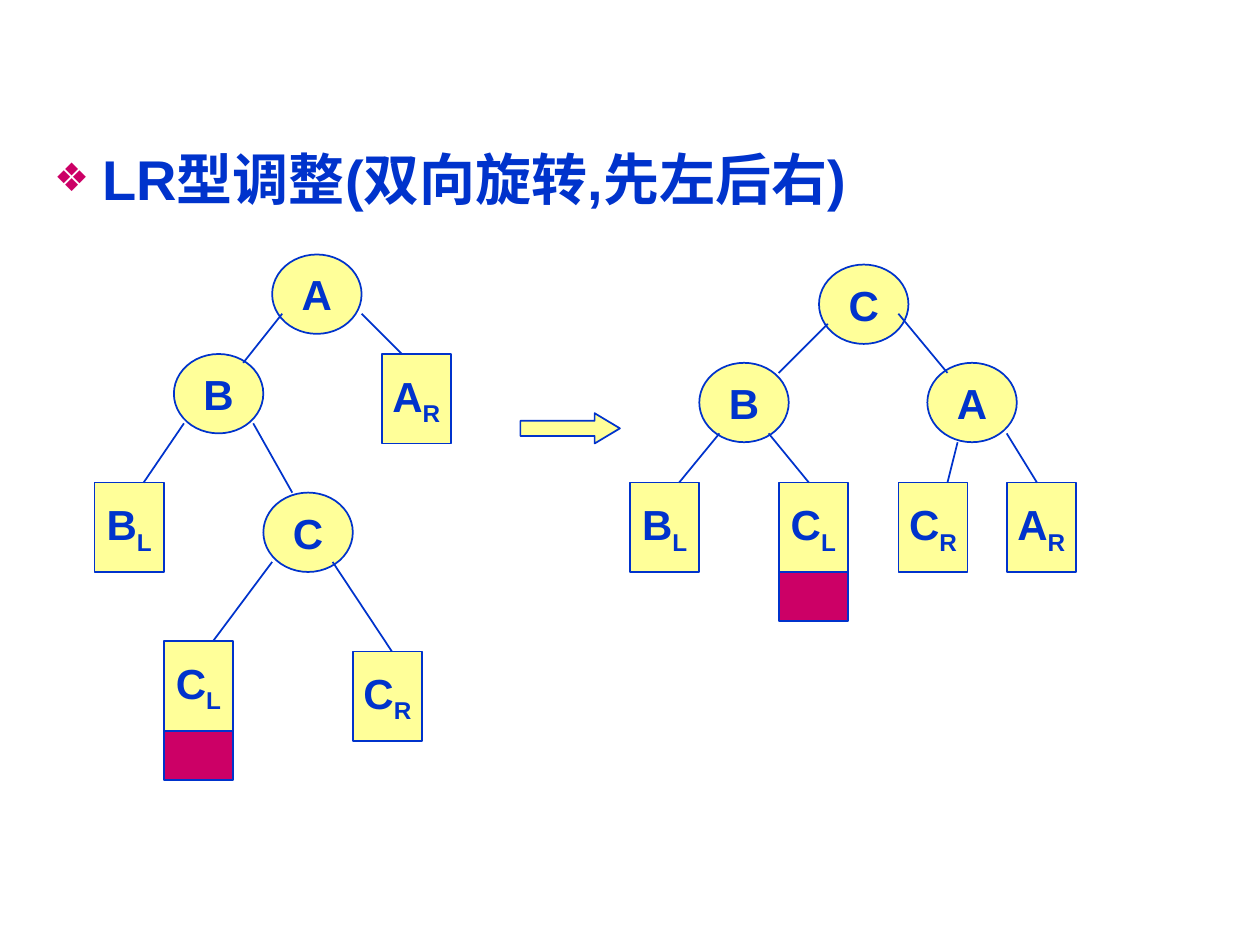
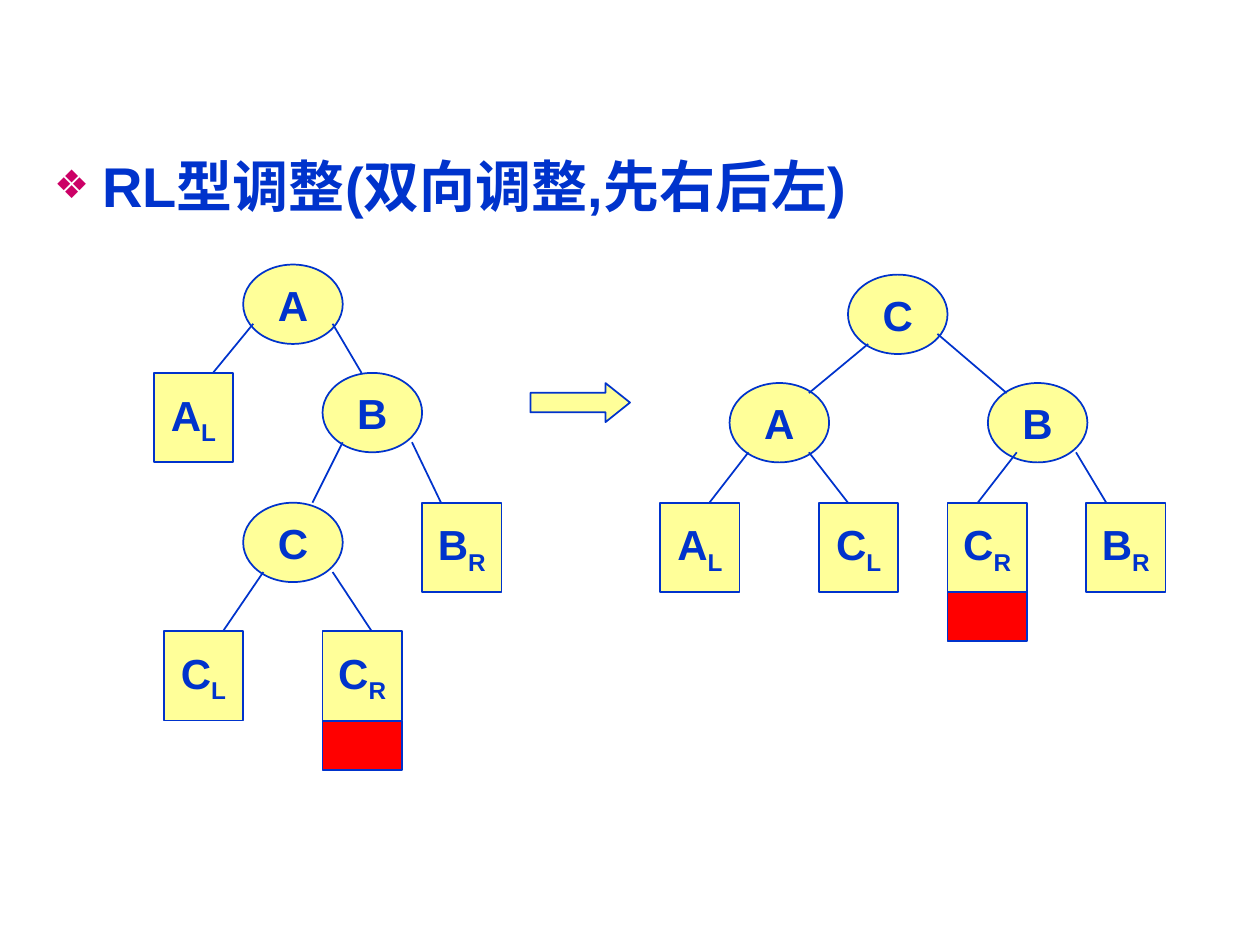
from lxml import etree
from pptx import Presentation
from pptx.dml.color import RGBColor
from pptx.enum import shapes, text
from pptx.oxml import ns
from pptx.util import Inches, Pt

BLUE, YELLOW, PINK, RED = "0033CC", "FFFF99", "CC0066", "FF0000"
NODE_HEIGHT, SUBTREE_HEIGHT, INSERTED_HEIGHT = 0.63, 0.71, 0.39


def paint(drawn, fill=None):
    """Outline a shape or connector in blue, fill it if asked, and drop its shadow."""
    drawn.line.color.rgb = RGBColor.from_string(BLUE)
    drawn.line.width = Pt(1)
    if fill:
        drawn.fill.solid()
        drawn.fill.fore_color.rgb = RGBColor.from_string(fill)
        drawn.shadow.inherit = False
    else:
        etree.SubElement(drawn._element.spPr, ns.qn("a:effectLst"))


def write(para, words, size=24, color=BLUE, subscript=False):
    span = para.add_run()
    span.text = words
    span.font.name = "Arial"
    span.font.size = Pt(size)
    span.font.bold = True
    span.font.color.rgb = RGBColor.from_string(color)
    if subscript:
        span._r.get_or_add_rPr().set("baseline", "-25000")


# One-letter labels are nodes; two-letter labels are subtrees.
# A tree is its labels with left and top, then its edges as x1, y1, x2, y2.
rotations = [
    dict(
        heading="LR型调整(双向旋转,先左后右)", top=0.99, height=5.42, spacing=1.2,
        node_width=0.71, subtree_width=0.55, inserted_under="CL", inserted_color=PINK,
        arrow=(4.13, 3.28, 0.79, 0.24), arrow_head=0.836,
        trees=[
            ([("A", 2.16, 2.02), ("B", 1.38, 2.81), ("C", 2.09, 3.91),
              ("AR", 3.03, 2.81), ("BL", 0.75, 3.83),
              ("CL", 1.3, 5.09), ("CR", 2.8, 5.17)],
             [(2.24, 2.49, 1.93, 2.88), (2.87, 2.49, 3.19, 2.81),
              (1.46, 3.36, 1.14, 3.83), (2.01, 3.36, 2.32, 3.91),
              (2.16, 4.46, 1.69, 5.09), (2.64, 4.46, 3.11, 5.17)]),
            ([("C", 6.5, 2.1), ("B", 5.55, 2.88), ("A", 7.36, 2.88),
              ("BL", 5, 3.83), ("CL", 6.18, 3.83),
              ("CR", 7.13, 3.83), ("AR", 7.99, 3.83)],
             [(6.57, 2.57, 6.18, 2.96), (7.13, 2.49, 7.52, 2.96),
              (5.71, 3.44, 5.39, 3.83), (6.1, 3.44, 6.42, 3.83),
              (7.6, 3.51, 7.52, 3.83), (7.99, 3.44, 8.23, 3.83)]),
        ],
    ),
    dict(
        heading="RL型调整(双向调整,先右后左)", top=1.15, height=5.27, spacing=1.0,
        node_width=0.79, subtree_width=0.63, inserted_under="CR", inserted_color=RED,
        arrow=(4.21, 3.04, 0.79, 0.31), arrow_head=0.627,
        trees=[
            ([("A", 1.93, 2.1), ("B", 2.56, 2.96), ("C", 1.93, 3.99),
              ("AL", 1.22, 2.96), ("BR", 3.35, 3.99),
              ("CL", 1.3, 5.01), ("CR", 2.56, 5.01)],
             [(2.01, 2.57, 1.69, 2.96), (2.64, 2.57, 2.87, 2.96),
              (2.72, 3.51, 2.48, 3.99), (3.27, 3.51, 3.5, 3.99),
              (2.09, 4.54, 1.77, 5.01), (2.64, 4.54, 2.95, 5.01)]),
            ([("C", 6.73, 2.18), ("A", 5.79, 3.04), ("B", 7.84, 3.04),
              ("AL", 5.24, 3.99), ("CL", 6.5, 3.99),
              ("CR", 7.52, 3.99), ("BR", 8.62, 3.99)],
             [(6.89, 2.73, 6.42, 3.12), (7.44, 2.65, 7.99, 3.12),
              (5.94, 3.59, 5.63, 3.99), (6.42, 3.59, 6.73, 3.99),
              (8.07, 3.59, 7.76, 3.99), (8.54, 3.59, 8.78, 3.99)]),
        ],
    ),
]

deck = Presentation()
deck.slide_width, deck.slide_height = Inches(10), Inches(7.5)

for rotation in rotations:
    page = deck.slides.add_slide(deck.slide_layouts[1])
    title = page.shapes.title._element
    title.getparent().remove(title)

    # Bulleted heading
    body = page.placeholders[1]
    body.left, body.top = Inches(0.33), Inches(rotation["top"])
    body.width, body.height = Inches(9.34), Inches(rotation["height"])
    body.text_frame.auto_size = text.MSO_AUTO_SIZE.NONE
    para = body.text_frame.paragraphs[0]
    para.line_spacing = rotation["spacing"]
    para.space_before = Pt(0)
    properties = para._p.get_or_add_pPr()
    properties.set("marL", str(Inches(0.38)))
    properties.set("indent", str(Inches(-0.38)))
    bullet_color = etree.SubElement(properties, ns.qn("a:buClr"))
    etree.SubElement(bullet_color, ns.qn("a:srgbClr"), val=PINK)
    etree.SubElement(properties, ns.qn("a:buSzPct"), val="70000")
    etree.SubElement(properties, ns.qn("a:buChar"), char="❖")
    write(para, rotation["heading"], size=32)

    # Trees before and after the rotation
    for vertices, edges in rotation["trees"]:
        tree = page.shapes.add_group_shape()
        for label, left, top in vertices:
            is_node = len(label) == 1
            kind = shapes.MSO_SHAPE.OVAL if is_node else shapes.MSO_SHAPE.RECTANGLE
            width = rotation["node_width" if is_node else "subtree_width"]
            height = NODE_HEIGHT if is_node else SUBTREE_HEIGHT
            vertex = tree.shapes.add_shape(
                kind, Inches(left), Inches(top), Inches(width), Inches(height))
            paint(vertex, YELLOW)
            frame = vertex.text_frame
            frame.word_wrap = False
            frame.vertical_anchor = text.MSO_ANCHOR.MIDDLE
            para = frame.paragraphs[0]
            para.alignment = text.PP_ALIGN.CENTER
            write(para, label[0])
            if not is_node:
                write(para, label[1], subscript=True)
            if label == rotation["inserted_under"]:
                inserted = page.shapes.add_shape(
                    kind, Inches(left), Inches(top + height),
                    Inches(width), Inches(INSERTED_HEIGHT))
                paint(inserted, rotation["inserted_color"])
        for edge in edges:
            paint(tree.shapes.add_connector(
                shapes.MSO_CONNECTOR.STRAIGHT, *map(Inches, edge)))

    arrow = page.shapes.add_shape(
        shapes.MSO_SHAPE.RIGHT_ARROW, *map(Inches, rotation["arrow"]))
    arrow.adjustments[1] = rotation["arrow_head"]
    paint(arrow, YELLOW)

deck.save("out.pptx")
